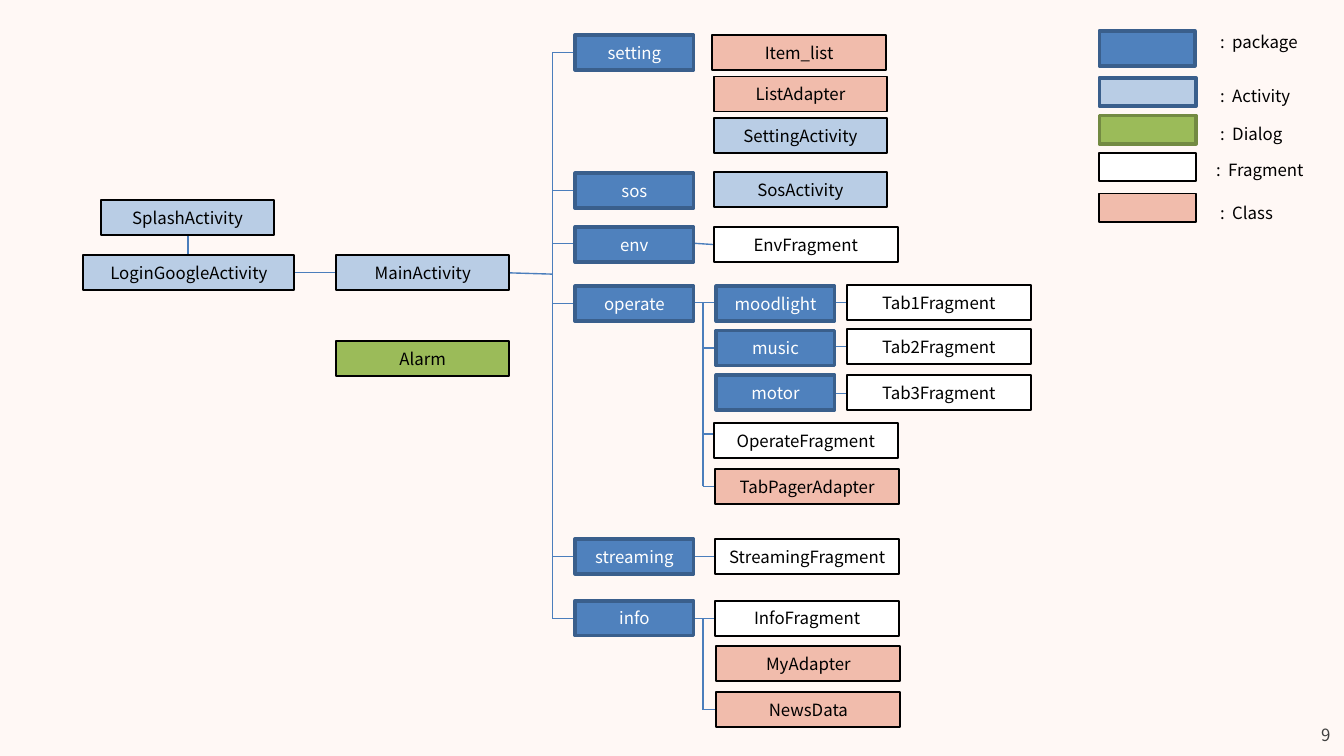
"""Build the slide that maps an Android app's packages, activities and fragments."""
from dataclasses import dataclass
from typing import NamedTuple

from lxml import etree
from pptx import Presentation
from pptx.dml.color import RGBColor
from pptx.enum.shapes import MSO_CONNECTOR, MSO_SHAPE
from pptx.enum.text import MSO_ANCHOR, MSO_AUTO_SIZE, PP_ALIGN
from pptx.oxml.ns import qn
from pptx.slide import Slide
from pptx.text.text import _Paragraph as Paragraph
from pptx.util import Inches, Pt

STRAIGHT = MSO_CONNECTOR.STRAIGHT
RECTANGLE = MSO_SHAPE.RECTANGLE
MIDDLE = MSO_ANCHOR.MIDDLE
GROW = MSO_AUTO_SIZE.SHAPE_TO_FIT_TEXT
LEFT, CENTER = PP_ALIGN.LEFT, PP_ALIGN.CENTER

FONT = "Noto Sans CJK KR"
COLORS = {
    "background": "FFF8F5",
    "package": "4F81BD",
    "activity": "B9CDE5",
    "dialog": "9BBB59",
    "fragment": "FFFFFF",
    "class": "F1BCAC",
    "package edge": "3A5F8C",
    "dialog edge": "738A42",
    "connector": "4B7EBC",
    "black": "000000",
    "white": "FFFFFF",
    "page": "404040",
}
SLIDE_WIDTH = 10
SLIDE_HEIGHT = SLIDE_WIDTH * 9 / 16
BOX_HEIGHT = 0.26
PACKAGE_WIDTH, ACTIVITY_WIDTH, FRAGMENT_WIDTH = 0.88, 1.29, 1.37
PACKAGE_LEFT = 4.28
TRUNK, SUBTRUNK = 4.11, 5.23
LEGEND_LEFT = 8.18
LEGEND_TAB = 0.09


@dataclass(frozen=True)
class Box:
    label: str
    kind: str
    left: float
    top: float
    width: float
    height: float = BOX_HEIGHT
    edge: str = "black"
    edge_width: float = 1


class Link(NamedTuple):
    x1: float
    y1: float
    x2: float
    y2: float


class LegendEntry(NamedTuple):
    label: str
    swatch: Box
    label_left: float
    label_top: float
    label_width: float


def package(label: str, left: float, top: float) -> Box:
    """Describe a package box."""
    return Box(label, "package", left, top, PACKAGE_WIDTH, edge="package edge", edge_width=2)


def activity(label: str, left: float, top: float, width: float = ACTIVITY_WIDTH) -> Box:
    """Describe an activity box."""
    return Box(label, "activity", left, top, width)


def fragment(label: str, left: float, top: float) -> Box:
    """Describe a fragment box."""
    return Box(label, "fragment", left, top, FRAGMENT_WIDTH)


def class_box(label: str, left: float, top: float, width: float = FRAGMENT_WIDTH) -> Box:
    """Describe a class box."""
    return Box(label, "class", left, top, width)


PACKAGES = [("setting", 0.26), ("sos", 1.29), ("env", 1.69),
            ("operate", 2.13), ("streaming", 4.01), ("info", 4.47)]
TABS = [("moodlight", "Tab1Fragment", 2.13, 2.12), ("music", "Tab2Fragment", 2.46, 2.45),
        ("motor", "Tab3Fragment", 2.79, 2.79)]
BOXES = [
    activity("SplashActivity", 0.75, 1.49),
    activity("LoginGoogleActivity", 0.62, 1.9, 1.57),
    activity("MainActivity", 2.5, 1.9),
    Box("Alarm", "dialog", 2.5, 2.54, ACTIVITY_WIDTH),
    *(package(name, PACKAGE_LEFT, top) for name, top in PACKAGES),
    class_box("Item_list", 5.3, 0.26, ACTIVITY_WIDTH),
    class_box("ListAdapter", 5.31, 0.57, ACTIVITY_WIDTH),
    activity("SettingActivity", 5.31, 0.88),
    activity("SosActivity", 5.31, 1.28),
    fragment("EnvFragment", 5.31, 1.69),
    *(package(name, 5.33, top) for name, _, top, _ in TABS),
    *(fragment(name, 6.3, top) for _, name, _, top in TABS),
    fragment("OperateFragment", 5.31, 3.15),
    class_box("TabPagerAdapter", 5.32, 3.49),
    fragment("StreamingFragment", 5.32, 4.01),
    fragment("InfoFragment", 5.32, 4.47),
    class_box("MyAdapter", 5.33, 4.81),
    class_box("NewsData", 5.33, 5.15),
]
LINKS = [
    Link(1.4, 1.9, 1.4, 1.75),
    Link(2.18, 2.03, 2.5, 2.03),
    Link(3.78, 2.03, TRUNK, 2.04),
    Link(TRUNK, 4.6, TRUNK, 0.39),
    *(Link(TRUNK, y, PACKAGE_LEFT, y) for y in (0.39, 1.42, 1.81, 2.26, 4.14, 4.6)),
    Link(5.16, 1.81, 5.31, 1.82),
    *(Link(5.16, y, 5.32, y) for y in (2.25, 4.14, 4.6)),
    Link(SUBTRUNK, 3.62, SUBTRUNK, 2.25),
    Link(SUBTRUNK, 5.28, SUBTRUNK, 4.6),
    *(Link(SUBTRUNK, y, 5.33, y) for y in (2.59, 3.23, 3.62, 5.28)),
    *(Link(6.2, y, 6.3, y) for y in (2.25, 2.58, 2.93)),
]
LEGEND = [
    LegendEntry("package", Box("", "package", LEGEND_LEFT, 0.23, 0.71, 0.26, "package edge", 2),
                8.98, 0.19, 0.79),
    LegendEntry("Activity", Box("", "activity", LEGEND_LEFT, 0.58, 0.72, 0.21, "package edge", 2),
                8.98, 0.59, 0.73),
    LegendEntry("Dialog", Box("", "dialog", LEGEND_LEFT, 0.86, 0.72, 0.21, "dialog edge", 2),
                8.98, 0.87, 0.69),
    LegendEntry("Fragment", Box("", "fragment", LEGEND_LEFT, 1.14, 0.72, 0.21), 8.95, 1.14, 0.86),
    LegendEntry("Class", Box("", "class", LEGEND_LEFT, 1.44, 0.72, 0.21), 8.98, 1.46, 0.6),
]


def rgb(name: str) -> RGBColor:
    """Look up a named colour."""
    return RGBColor.from_string(COLORS[name])


def write(paragraph: Paragraph, text: str, color: str, alignment: PP_ALIGN) -> None:
    """Fill a paragraph with text in the slide's font."""
    paragraph.text = text
    paragraph.alignment = alignment
    paragraph.font.name = FONT
    paragraph.font.size = Pt(9)
    paragraph.font.color.rgb = rgb(color)


def draw_box(slide: Slide, box: Box) -> None:
    """Draw a box with its label, if it has one."""
    shape = slide.shapes.add_shape(RECTANGLE, Inches(box.left), Inches(box.top),
                                   Inches(box.width), Inches(box.height))
    shape.shadow.inherit = False
    shape.fill.solid()
    shape.fill.fore_color.rgb = rgb(box.kind)
    shape.line.color.rgb = rgb(box.edge)
    shape.line.width = Pt(box.edge_width)
    if box.label:
        frame = shape.text_frame
        frame.vertical_anchor = MIDDLE
        frame.margin_left = frame.margin_right = Inches(0.05)
        write(frame.paragraphs[0], box.label, "white" if box.kind == "package" else "black", CENTER)


def draw_link(slide: Slide, link: Link) -> None:
    """Draw a thin connector without a shadow."""
    connector = slide.shapes.add_connector(STRAIGHT, *(Inches(value) for value in link))
    connector.line.color.rgb = rgb("connector")
    connector.line.width = Pt(0.75)
    etree.SubElement(connector._element.spPr, qn("a:effectLst"))


def draw_text(slide: Slide, text: str, left: float, top: float, width: float,
              color: str, alignment: PP_ALIGN) -> Paragraph:
    """Draw one line of free text and return its paragraph."""
    frame = slide.shapes.add_textbox(Inches(left), Inches(top), Inches(width), Inches(0.25)).text_frame
    frame.word_wrap = False
    frame.auto_size = GROW
    write(frame.paragraphs[0], text, color, alignment)
    return frame.paragraphs[0]


def draw_legend_entry(slide: Slide, entry: LegendEntry) -> None:
    """Draw a swatch and its label, aligned on a tab stop."""
    draw_box(slide, entry.swatch)
    label = draw_text(slide, f":\t{entry.label}", entry.label_left, entry.label_top,
                      entry.label_width, "black", LEFT)
    tabs = etree.Element(qn("a:tabLst"))
    etree.SubElement(tabs, qn("a:tab"), pos=str(Inches(LEGEND_TAB)), algn="l")
    label._p.get_or_add_pPr().insert(0, tabs)


def main() -> None:
    """Build and save the slide."""
    deck = Presentation()
    deck.slide_width, deck.slide_height = Inches(SLIDE_WIDTH), Inches(SLIDE_HEIGHT)
    slide = deck.slides.add_slide(deck.slide_layouts[6])
    slide.background.fill.solid()
    slide.background.fill.fore_color.rgb = rgb("background")
    for link in LINKS:
        draw_link(slide, link)
    for box in BOXES:
        draw_box(slide, box)
    for entry in LEGEND:
        draw_legend_entry(slide, entry)
    draw_text(slide, "9", 9.73, 5.34, 0.27, "page", CENTER)
    deck.save("out.pptx")


if __name__ == "__main__":
    main()
